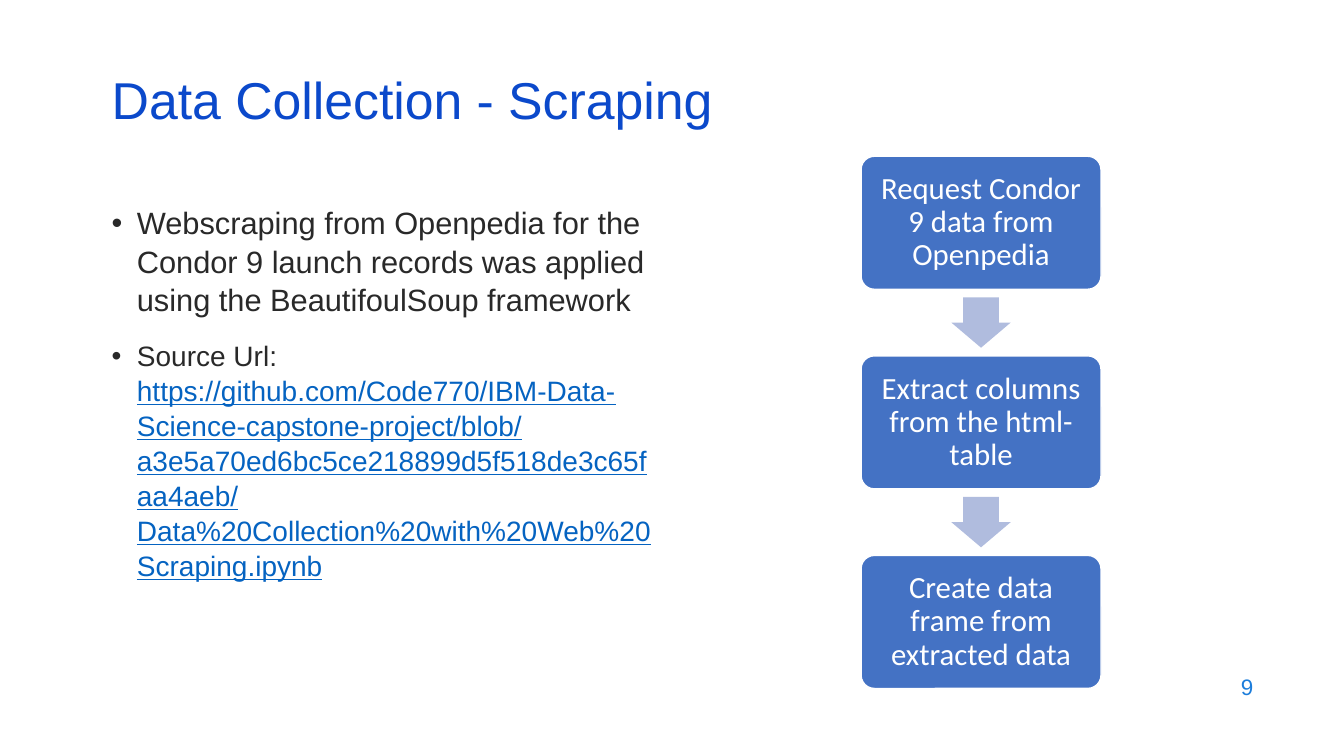
import pptx
import pptx.util
import pptx.dml.color
import pptx.enum.shapes
import pptx.enum.text
import lxml.etree

# Content
TITLE = "Data Collection - Scraping"
PAGE_NUMBER = "9"
DARK, LINK, WHITE, BLUE = "292929", "0563C1", "FFFFFF", "4472C4"
URL = ("https://github.com/Code770/IBM-Data-Science-capstone-project/blob/"
       "a3e5a70ed6bc5ce218899d5f518de3c65faa4aeb/"
       "Data%20Collection%20with%20Web%20Scraping.ipynb")
# Each bullet: size, then its runs as (text, colour, underlined)
BULLETS = [
    (22, [("Webscraping from Openpedia for the Condor 9 launch records was "
           "applied using the BeautifoulSoup framework", DARK, False)]),
    (20, [("Source Url: ", DARK, False), (URL, LINK, True)]),
]
STEPS = [
    "Request Condor 9 data from Openpedia",
    "Extract columns from the html-table",
    "Create data frame from extracted data",
]

# Layout in inches
LEFT = 1.01
STEP_LEFT, STEP_TOP, STEP_WIDTH, STEP_HEIGHT, STEP_PITCH = 8.54, 1.55, 2.38, 1.32, 1.98
ARROW_LENGTH, ARROW_BREADTH = 0.5, 0.59

inch = pptx.util.Inches
ALIGN = pptx.enum.text.PP_ALIGN
ANCHOR = pptx.enum.text.MSO_ANCHOR
SHAPE = pptx.enum.shapes.MSO_SHAPE


def colour(code):
    return pptx.dml.color.RGBColor.from_string(code)


def add_span(para, text, size, code, font="Arial", underline=False):
    span = para.add_run()
    span.text = text
    span.font.name = font
    span.font.size = pptx.util.Pt(size)
    span.font.color.rgb = colour(code)
    if underline:
        span.font.underline = True


def add_box(page, left, top, width, height, anchor):
    box = page.shapes.add_textbox(inch(left), inch(top), inch(width), inch(height))
    box.text_frame.word_wrap = True
    box.text_frame.vertical_anchor = anchor
    return box.text_frame


def add_block(page, kind, left, top, width, height, fill, adjustments):
    block = page.shapes.add_shape(kind, inch(left), inch(top), inch(width), inch(height))
    block.shadow.inherit = False
    block.fill.solid()
    block.fill.fore_color.rgb = colour(fill)
    block.line.fill.background()
    for index, value in enumerate(adjustments):
        block.adjustments[index] = value
    return block


def add_bullet(para):
    properties = para._p.get_or_add_pPr()
    properties.set("marL", str(inch(0.25)))
    properties.set("indent", str(-inch(0.25)))
    tag = pptx.oxml.ns.qn("a:buFont")
    lxml.etree.SubElement(properties, tag, typeface="Arial")
    tag = pptx.oxml.ns.qn("a:buChar")
    lxml.etree.SubElement(properties, tag, char="•")


deck = pptx.Presentation()
deck.slide_width, deck.slide_height = inch(13.33), inch(7.5)
page = deck.slides.add_slide(deck.slide_layouts[6])

# Title
para = add_box(page, LEFT, 0.76, 11.5, 0.6, ANCHOR.MIDDLE).paragraphs[0]
para.line_spacing = 0.7
add_span(para, TITLE, 37, "0B49CB")

# Bullets
frame = add_box(page, LEFT, 1.96, 5.66, 4.17, ANCHOR.TOP)
for index, (size, spans) in enumerate(BULLETS):
    para = frame.add_paragraph() if index else frame.paragraphs[0]
    add_bullet(para)
    para.line_spacing = 1.04
    if index:
        para.space_before = pptx.util.Pt(14)
    for text, code, underline in spans:
        add_span(para, text, size, code, underline=underline)

# Process steps, with an arrow centred in each gap
for index, text in enumerate(STEPS):
    top = STEP_TOP + index * STEP_PITCH
    step = add_block(page, SHAPE.ROUNDED_RECTANGLE, STEP_LEFT, top,
                     STEP_WIDTH, STEP_HEIGHT, BLUE, [0.1])
    step.line.color.rgb = colour(WHITE)
    step.line.width = pptx.util.Pt(1)
    frame = step.text_frame
    frame.word_wrap = True
    frame.vertical_anchor = ANCHOR.MIDDLE
    frame.margin_left = frame.margin_right = inch(0.13)
    frame.margin_top = frame.margin_bottom = inch(0.13)
    para = frame.paragraphs[0]
    para.alignment = ALIGN.CENTER
    para.line_spacing = 0.9
    add_span(para, text, 22, WHITE, "Calibri")
    if index:
        middle = top - (STEP_PITCH - STEP_HEIGHT) / 2
        arrow = add_block(page, SHAPE.RIGHT_ARROW,
                          STEP_LEFT + (STEP_WIDTH - ARROW_LENGTH) / 2,
                          middle - ARROW_BREADTH / 2,
                          ARROW_LENGTH, ARROW_BREADTH, "B0BCDE", [0.6, 0.5])
        arrow.rotation = 90

# Page number
para = add_box(page, 9.53, 6.59, 3, 0.44, ANCHOR.MIDDLE).paragraphs[0]
para.alignment = ALIGN.RIGHT
add_span(para, PAGE_NUMBER, 16, "1C7DDB")

deck.save("out.pptx")
